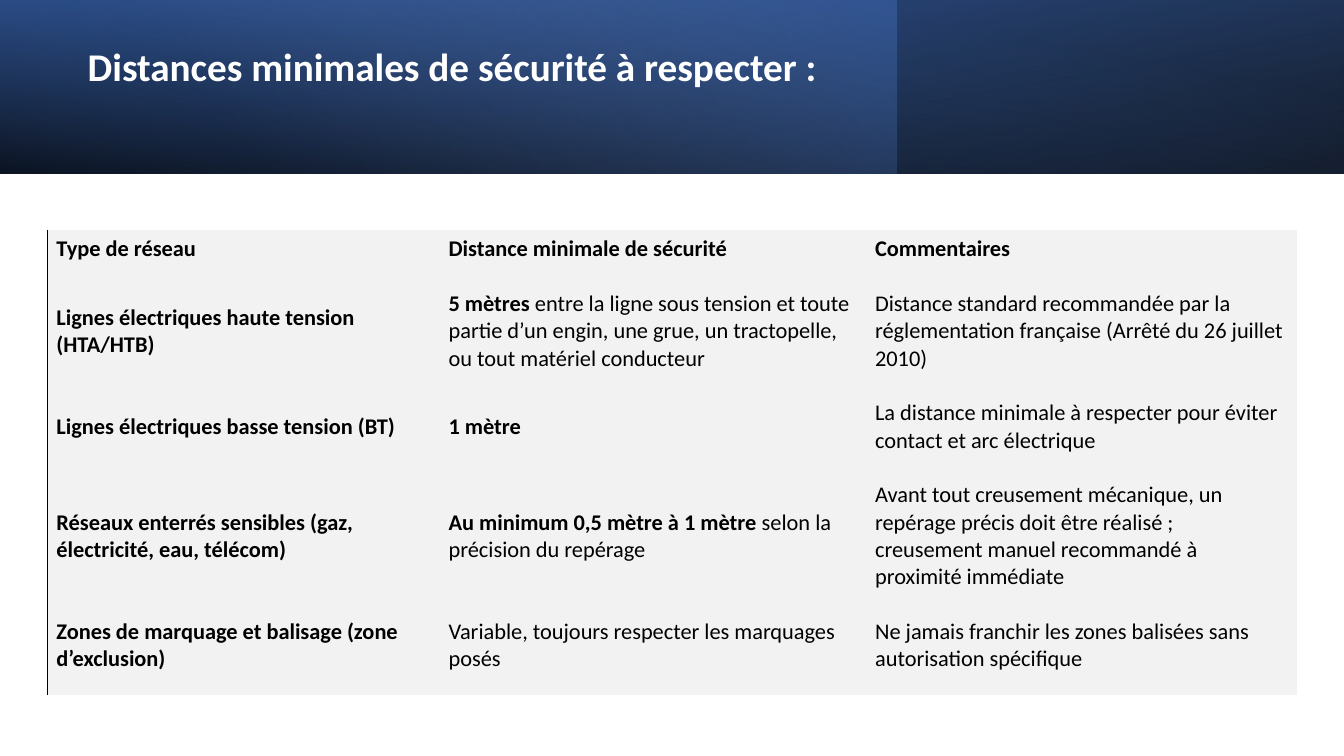
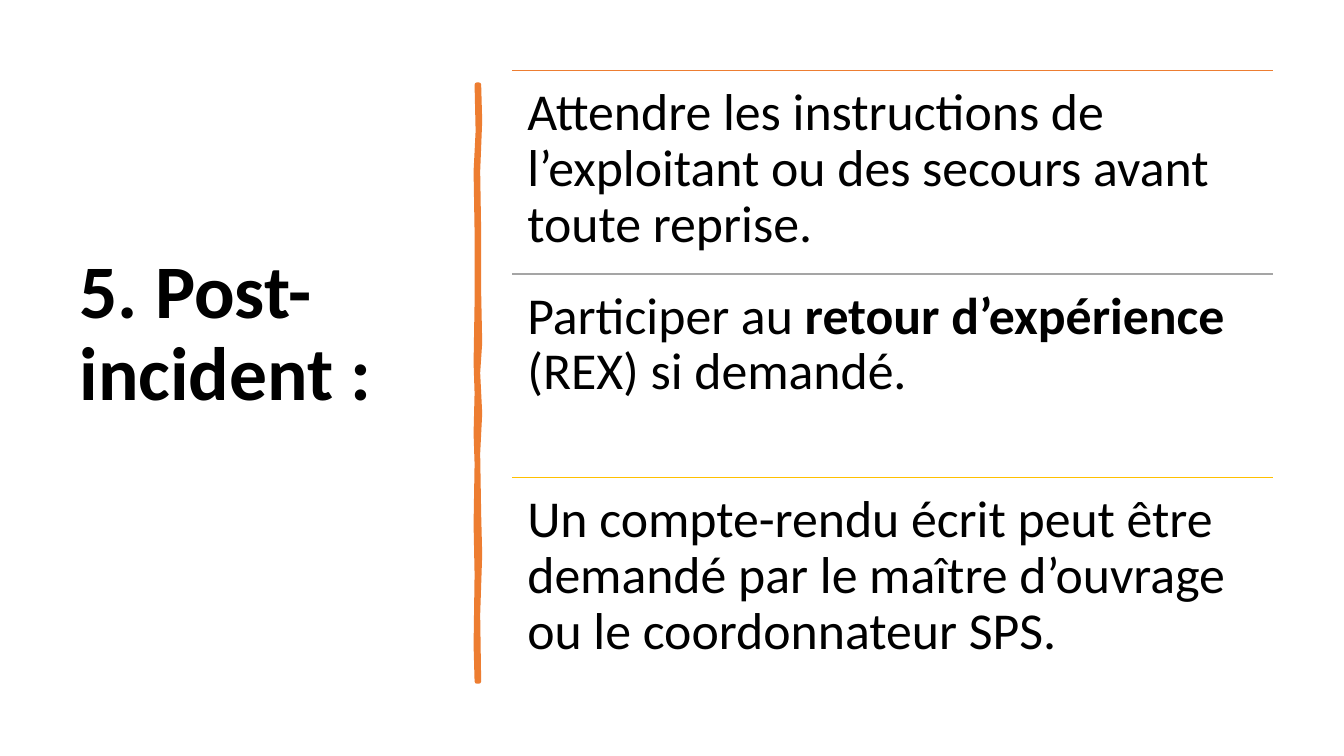
"""Build two slides on safety distances and post-incident steps."""
from lxml import etree
from pptx import Presentation
from pptx import util as u
from pptx.dml import color
from pptx.enum import shapes, text
from pptx.oxml import ns

BLACK = color.RGBColor(0x00, 0x00, 0x00)
WHITE = color.RGBColor(0xFF, 0xFF, 0xFF)
PALE = color.RGBColor(0xF2, 0xF2, 0xF2)
NAVY = color.RGBColor(0x2F, 0x55, 0x97)
BLUE = color.RGBColor(0x44, 0x72, 0xC4)
SKY = color.RGBColor(0x8F, 0xAA, 0xDC)
ORANGE = color.RGBColor(0xED, 0x7D, 0x31)
GREY = color.RGBColor(0xA5, 0xA5, 0xA5)
GOLD = color.RGBColor(0xFF, 0xC0, 0x00)
PLAIN_TABLE = "{2D5ABB26-0587-4C30-8999-92F81FD0307C}"

BANDS = [
    (13.33, 180, True, 100, [(0, BLACK, 96), (100, NAVY, 100)]),
    (8.89, 0, False, 140, [(0, BLUE, 41), (74, SKY, 0)]),
    (13.33, 0, True, 260, [(0, BLACK, 63), (78, BLUE, 15)]),
]

COLUMNS = [3.89, 4.23, 4.27]
ROWS = [
    (0.55, ["**Type de réseau**", "**Distance minimale de sécurité**", "**Commentaires**"]),
    (1.08, ["**Lignes électriques haute tension (HTA/HTB)**",
            "**5 mètres** entre la ligne sous tension et toute partie d’un engin, "
            "une grue, un tractopelle, ou tout matériel conducteur",
            "Distance standard recommandée par la réglementation française "
            "(Arrêté du 26 juillet 2010)"]),
    (0.82, ["**Lignes électriques basse tension (BT)**", "**1 mètre**",
            "La distance minimale à respecter pour éviter contact et arc électrique"]),
    (1.35, ["**Réseaux enterrés sensibles (gaz, électricité, eau, télécom)**",
            "**Au minimum 0,5 mètre à 1 mètre** selon la précision du repérage",
            "Avant tout creusement mécanique, un repérage précis doit être réalisé ; "
            "creusement manuel recommandé à proximité immédiate"]),
    (0.82, ["**Zones de marquage et balisage (zone d’exclusion)**",
            "Variable, toujours respecter les marquages posés",
            "Ne jamais franchir les zones balisées sans autorisation spécifique"]),
]

STEPS = [
    (ORANGE, "Attendre les instructions de l’exploitant ou des secours avant toute reprise."),
    (GREY, "Participer au **retour d’expérience** (REX) si demandé."),
    (GOLD, "Un compte-rendu écrit peut être demandé par le maître d’ouvrage "
           "ou le coordonnateur SPS."),
]

BRUSH_STROKE = [
    (4.75, 0.84), (4.76, 1.2), (4.74, 1.7), (4.75, 2.3), (4.75, 2.9), (4.76, 3.4),
    (4.74, 3.7), (4.76, 4.1), (4.74, 4.5), (4.75, 5.1), (4.76, 5.5), (4.74, 6.1),
    (4.75, 6.76), (4.73, 6.76), (4.72, 6.4), (4.73, 5.7), (4.72, 5.2), (4.73, 4.6),
    (4.72, 4.3), (4.73, 3.9), (4.72, 3.6), (4.73, 3.0), (4.73, 2.3), (4.72, 1.7),
    (4.74, 1.3), (4.73, 0.84),
]


def write(frame, words, size=16, ink=BLACK, bold=False, spacing=1.0,
          anchor=text.MSO_ANCHOR.TOP, insets=(0.1, 0.05, 0.1, 0.05)):
    """Fill a text frame, with **marked** spans in bold."""
    frame.word_wrap = True
    frame.vertical_anchor = anchor
    (frame.margin_left, frame.margin_top,
     frame.margin_right, frame.margin_bottom) = map(u.Inches, insets)
    para = frame.paragraphs[0]
    para.alignment = text.PP_ALIGN.LEFT
    para.line_spacing = spacing
    for index, piece in enumerate(words.split("**")):
        if piece:
            span = para.add_run()
            span.text = piece
            span.font.name = "Calibri"
            span.font.size = u.Pt(size)
            span.font.bold = bold or index % 2 == 1
            span.font.color.rgb = ink


class Deck:
    """Hold the shared style and the current slide."""

    def __init__(self):
        self.deck = Presentation()
        self.deck.slide_width = u.Inches(13.33)
        self.deck.slide_height = u.Inches(7.5)
        self.page = None

    def add_page(self):
        self.page = self.deck.slides.add_slide(self.deck.slide_layouts[5])

    def title(self, words, place, size, ink, lift):
        box = self.page.shapes.title
        box.left, box.top, box.width, box.height = map(u.Inches, place)
        box.element.getparent().append(box.element)
        box.text_frame.auto_size = text.MSO_AUTO_SIZE.NONE
        write(box.text_frame, words, size=size, ink=ink, bold=True, spacing=0.9,
              anchor=text.MSO_ANCHOR.MIDDLE, insets=(0.1, 0.05, 0.1, 0.05 + lift))

    def band(self, width, rotation, flipped, angle, stops):
        box = self.page.shapes.add_shape(
            shapes.MSO_SHAPE.RECTANGLE, 0, 0, u.Inches(width), u.Inches(1.72))
        box.shadow.inherit = False
        box.line.fill.background()
        box.rotation = rotation
        if flipped:
            box.element.spPr.find(ns.qn("a:xfrm")).set("flipH", "1")
        box.fill.gradient()
        gradient = box.element.spPr.find(ns.qn("a:gradFill"))
        gradient.set("rotWithShape", "1")
        stop_list = gradient.find(ns.qn("a:gsLst"))
        for old in list(stop_list):
            stop_list.remove(old)
        for position, tint, opacity in stops:
            stop = etree.SubElement(stop_list, ns.qn("a:gs"), pos=str(position * 1000))
            tone = etree.SubElement(stop, ns.qn("a:srgbClr"), val=str(tint))
            etree.SubElement(tone, ns.qn("a:alpha"), val=str(opacity * 1000))
        direction = gradient.find(ns.qn("a:lin"))
        direction.set("ang", str(angle * 60000))
        direction.set("scaled", "0")

    def table(self, left, top, columns, rows):
        height = sum(row_height for row_height, _ in rows)
        frame = self.page.shapes.add_table(
            len(rows), len(columns), u.Inches(left), u.Inches(top),
            u.Inches(sum(columns)), u.Inches(height))
        grid = frame.table
        grid.first_row = grid.horz_banding = False
        frame.element.find(".//" + ns.qn("a:tableStyleId")).text = PLAIN_TABLE
        for column, width in zip(grid.columns, columns):
            column.width = u.Inches(width)
        for row, (row_height, entries) in zip(grid.rows, rows):
            row.height = u.Inches(row_height)
            for cell, words in zip(row.cells, entries):
                write(cell.text_frame, words)
                cell.vertical_anchor = text.MSO_ANCHOR.MIDDLE
                cell.margin_left, cell.margin_top = u.Inches(0.09), u.Inches(0.03)
                cell.margin_right, cell.margin_bottom = u.Inches(0.13), u.Inches(0.2)
                cell.fill.solid()
                cell.fill.fore_color.rgb = PALE
            self.left_border(row.cells[0])

    def left_border(self, cell):
        border = etree.Element(ns.qn("a:lnL"), w=str(u.Pt(1)))
        fill = etree.SubElement(border, ns.qn("a:solidFill"))
        etree.SubElement(fill, ns.qn("a:srgbClr"), val=str(BLACK))
        cell.fill._xPr.insert(0, border)

    def rule(self, left, top, width, ink):
        line = self.page.shapes.add_connector(
            shapes.MSO_CONNECTOR.STRAIGHT, u.Inches(left), u.Inches(top),
            u.Inches(left + width), u.Inches(top))
        line.line.color.rgb = ink
        line.line.width = u.Pt(1)
        etree.SubElement(line.element.spPr, ns.qn("a:effectLst"))

    def textbox(self, words, place, **style):
        box = self.page.shapes.add_textbox(*map(u.Inches, place))
        write(box.text_frame, words, **style)

    def outline(self, points, ink, weight):
        builder = self.page.shapes.build_freeform(
            *map(u.Inches, points[0]), scale=1.0)
        builder.add_line_segments(
            [(u.Inches(x), u.Inches(y)) for x, y in points[1:]], close=True)
        stroke = builder.convert_to_shape()
        stroke.shadow.inherit = False
        stroke.fill.solid()
        stroke.fill.fore_color.rgb = ink
        stroke.line.color.rgb = ink
        stroke.line.width = u.Pt(weight)


def main():
    """Build and save both slides."""
    deck = Deck()

    deck.add_page()
    for band in BANDS:
        deck.band(*band)
    deck.title("Distances minimales de sécurité à respecter :",
               (0.77, 0.27, 7.72, 1.27), 28, WHITE, lift=0.44)
    deck.table(0.47, 2.28, COLUMNS, ROWS)

    deck.add_page()
    deck.title("5. Post-incident :", (0.69, 0.7, 3.74, 6.11), 54, BLACK, lift=0.86)
    deck.outline(BRUSH_STROKE, ORANGE, 3.25)
    left, width, pitch = 5.08, 7.55, 2.02
    for index, (ink, words) in enumerate(STEPS):
        top = 0.7 + index * pitch
        deck.rule(left, top, width, ink)
        deck.textbox(words, (left, top, width, pitch), size=37, spacing=0.9,
                     insets=(0.15,) * 4)

    deck.deck.save("out.pptx")


if __name__ == "__main__":
    main()
